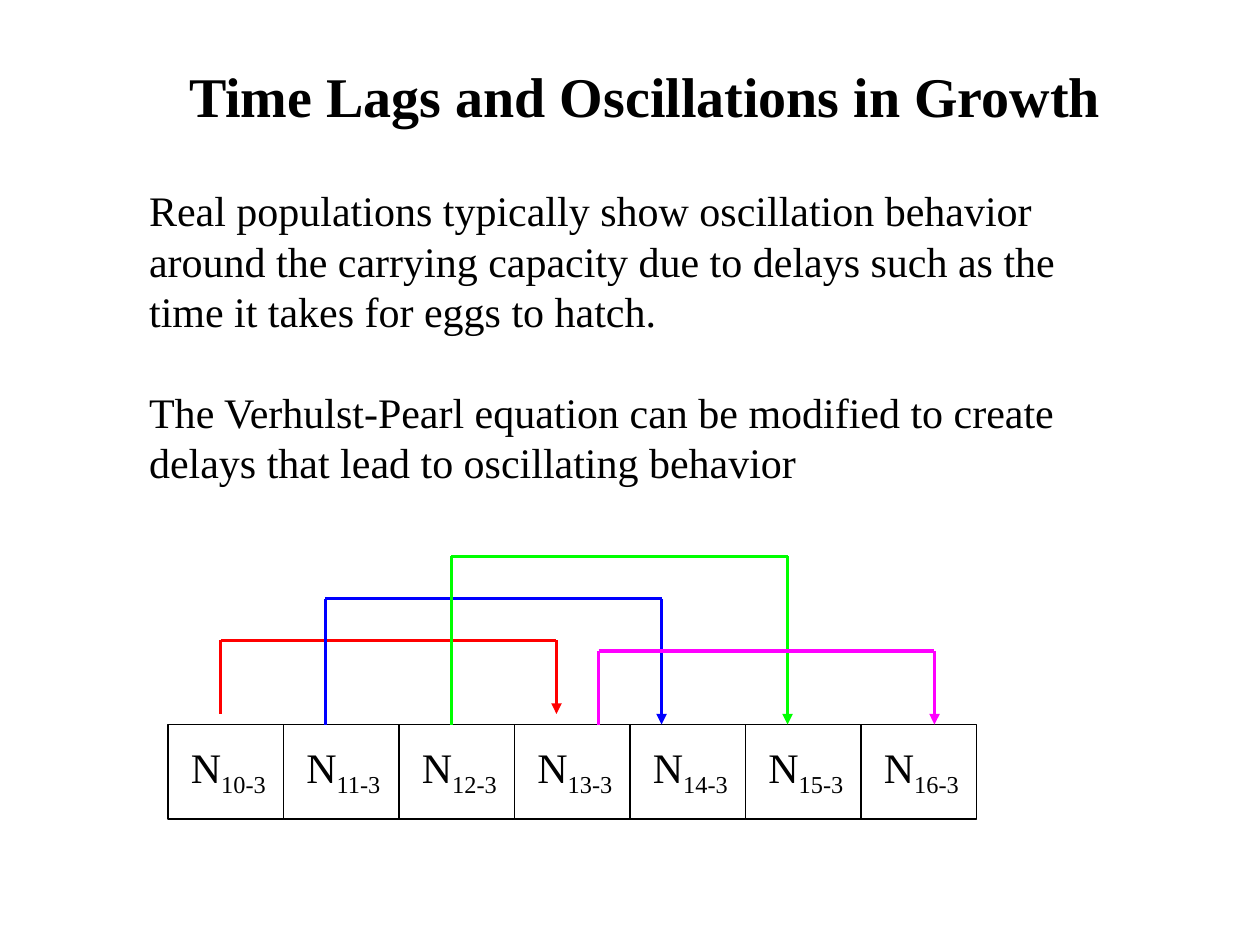
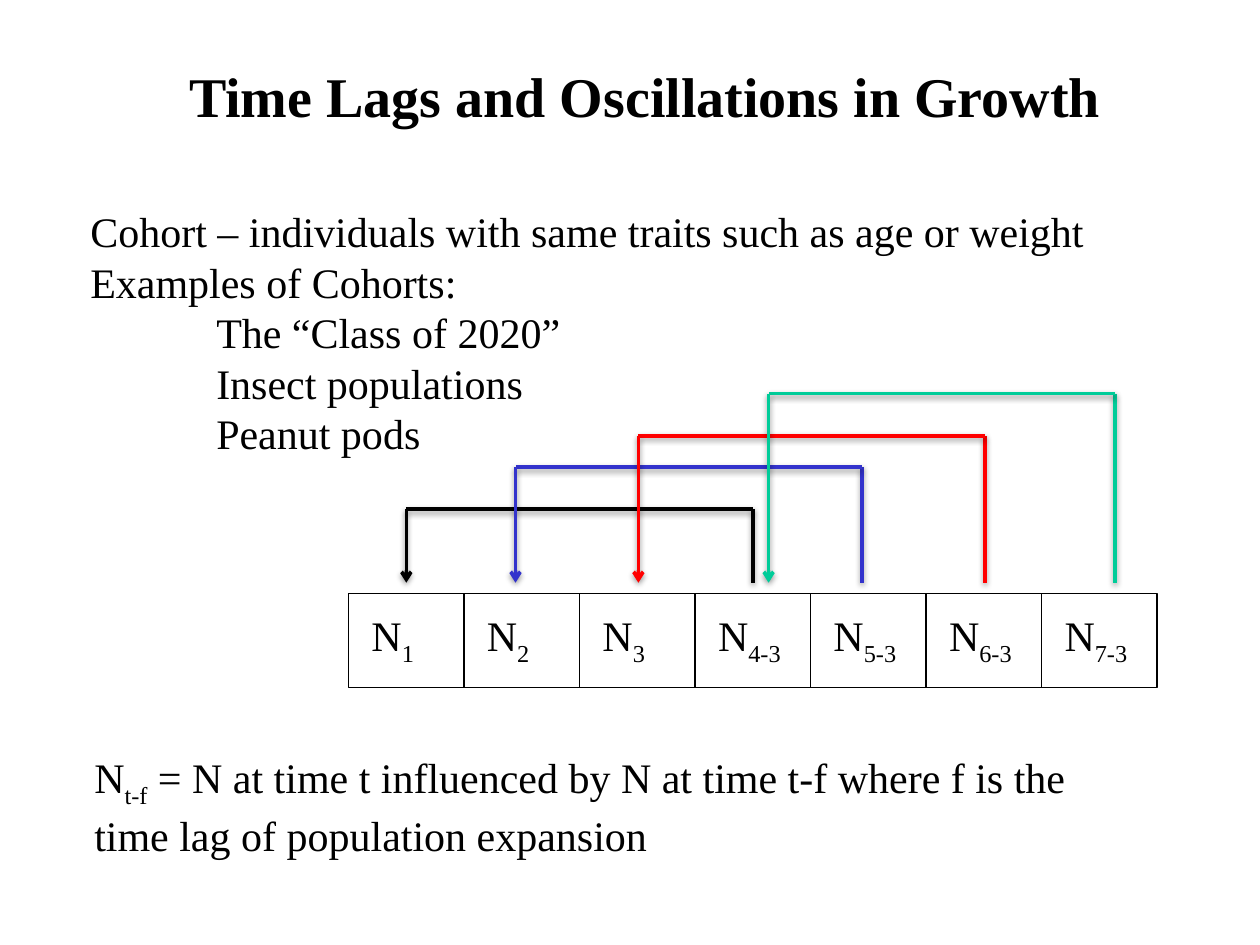
from lxml import etree
from pptx import Presentation
from pptx.dml.color import RGBColor
from pptx.enum.shapes import MSO_CONNECTOR, MSO_SHAPE
from pptx.enum.text import MSO_ANCHOR, MSO_AUTO_SIZE, PP_ALIGN
from pptx.oxml.ns import qn
from pptx.util import Emu, Pt

PX = 7620
FONT = "Times New Roman"
BLACK = RGBColor(0x00, 0x00, 0x00)
RED = RGBColor(0xFF, 0x00, 0x00)
BLUE = RGBColor(0x00, 0x00, 0xFF)
GREEN = RGBColor(0x00, 0xFF, 0x00)
MAGENTA = RGBColor(0xFF, 0x00, 0xFF)
INDIGO = RGBColor(0x33, 0x33, 0xCC)
TEAL = RGBColor(0x00, 0xCC, 0x99)

TITLE = "Time Lags and Oscillations in Growth"
CELL_W, CELL_H, LABEL_GAP = 110, 90, 10


def px(*values):
    return [Emu(v * PX) for v in values]


def write(sp, box, paragraphs, size=24, bold=False, wrap=True):
    sp.left, sp.top, sp.width, sp.height = px(*box)
    tf = sp.text_frame
    tf.word_wrap = wrap
    tf.auto_size = MSO_AUTO_SIZE.SHAPE_TO_FIT_TEXT
    tf.vertical_anchor = MSO_ANCHOR.TOP
    for i, (parts, indent, before) in enumerate(paragraphs):
        p = tf.add_paragraph() if i else tf.paragraphs[0]
        p.alignment = PP_ALIGN.LEFT
        p.space_before = Pt(before)
        p.font.name, p.font.size, p.font.bold = FONT, Pt(size), bold
        p.font.color.rgb = BLACK
        pPr = p._p.get_or_add_pPr()
        pPr.set("marL", str(indent * PX))
        pPr.set("indent", "0")
        pPr.insert_element_before(pPr.makeelement(qn("a:buNone"), {}), "a:tabLst", "a:defRPr")
        for j, text in enumerate(parts):
            r = p.add_run()
            r.text = text
            if j % 2:
                r._r.get_or_add_rPr().set("baseline", "-25000")


slides = [
    dict(
        body=(130, 170, 962, 300), wrap=True,
        paragraphs=[
            (["Real populations typically show oscillation behavior around the carrying "
              "capacity due to delays such as the time it takes for eggs to hatch."], 0, 0),
            (["The Verhulst-Pearl equation can be modified to create delays that lead to "
              "oscillating behavior"], 0, 28.8),
        ],
        row=(160, 690), subscripts=[f"{n}-3" for n in range(10, 17)],
        span=320, arrow="triangle", shadow=False,
        lags=[(RED, 210, 610, 680), (BLUE, 310, 570, 690),
              (GREEN, 430, 530, 690), (MAGENTA, 570, 620, 690)],
    ),
    dict(
        body=(74, 190, 979, 254), wrap=False,
        paragraphs=[
            (["Cohort – individuals with same traits such as age or weight"], 0, 0),
            (["Examples of Cohorts:"], 0, 0),
            (["The “Class of 2020”"], 120, 0),
            (["Insect populations"], 120, 0),
            (["Peanut pods"], 120, 0),
        ],
        row=(332, 565), subscripts=["1", "2", "3", "4-3", "5-3", "6-3", "7-3"],
        span=-330, arrow="arrow", shadow=True,
        lags=[(BLACK, 717, 485, 555), (INDIGO, 821, 445, 555),
              (RED, 938, 415, 555), (TEAL, 1062, 375, 555)],
    ),
]
label_widths = {1: 67, 3: 90, 4: 102}

prs = Presentation()
prs.slide_width, prs.slide_height = px(1200, 900)

for spec_row in slides:
    s = prs.slides.add_slide(prs.slide_layouts[1])
    write(s.shapes.title, (168, 53, 894, 76), [([TITLE], 0, 0)], 32, True, False)
    write(s.placeholders[1], spec_row["body"], spec_row["paragraphs"], wrap=spec_row["wrap"])

    left, top = spec_row["row"]
    for i, subscript in enumerate(spec_row["subscripts"]):
        x = left + i * CELL_W
        cell = s.shapes.add_shape(MSO_SHAPE.RECTANGLE, *px(x, top, CELL_W, CELL_H))
        cell.shadow.inherit = False
        cell.fill.background()
        cell.line.color.rgb = BLACK
        cell.line.width = Pt(0.75)
        box = (x + LABEL_GAP, top + LABEL_GAP, label_widths[len(subscript)], 60)
        write(s.shapes.add_textbox(*px(*box)), box, [(["N", subscript], 0, 0)], wrap=False)

    for color, start, peak, base in spec_row["lags"]:
        end = start + spec_row["span"]
        corners = [(start, base), (start, peak), (end, peak), (end, base)]
        group = s.shapes.add_group_shape()
        for a, b in zip(corners, corners[1:]):
            line = group.shapes.add_connector(MSO_CONNECTOR.STRAIGHT, *px(*a, *b))
            line.line.color.rgb = color
            line.line.width = Pt(2)
            if b == corners[-1]:
                etree.SubElement(line.line._get_or_add_ln(), qn("a:tailEnd"),
                                 type=spec_row["arrow"])
            effects = etree.SubElement(line._element.spPr, qn("a:effectLst"))
            if spec_row["shadow"]:
                shadow = etree.SubElement(effects, qn("a:outerShdw"), blurRad="40000",
                                          dist="20000", dir="5400000", rotWithShape="0")
                shade = etree.SubElement(shadow, qn("a:srgbClr"), val=str(BLACK))
                etree.SubElement(shade, qn("a:alpha"), val="38000")

formula_box = (78, 710, 991, 109)
formula = ["N", "t-f", " = N at time t influenced by N at time t-f where f is the "
           "time lag of population expansion"]
write(s.shapes.add_textbox(*px(*formula_box)), formula_box, [(formula, 0, 0)])

prs.save("out.pptx")
